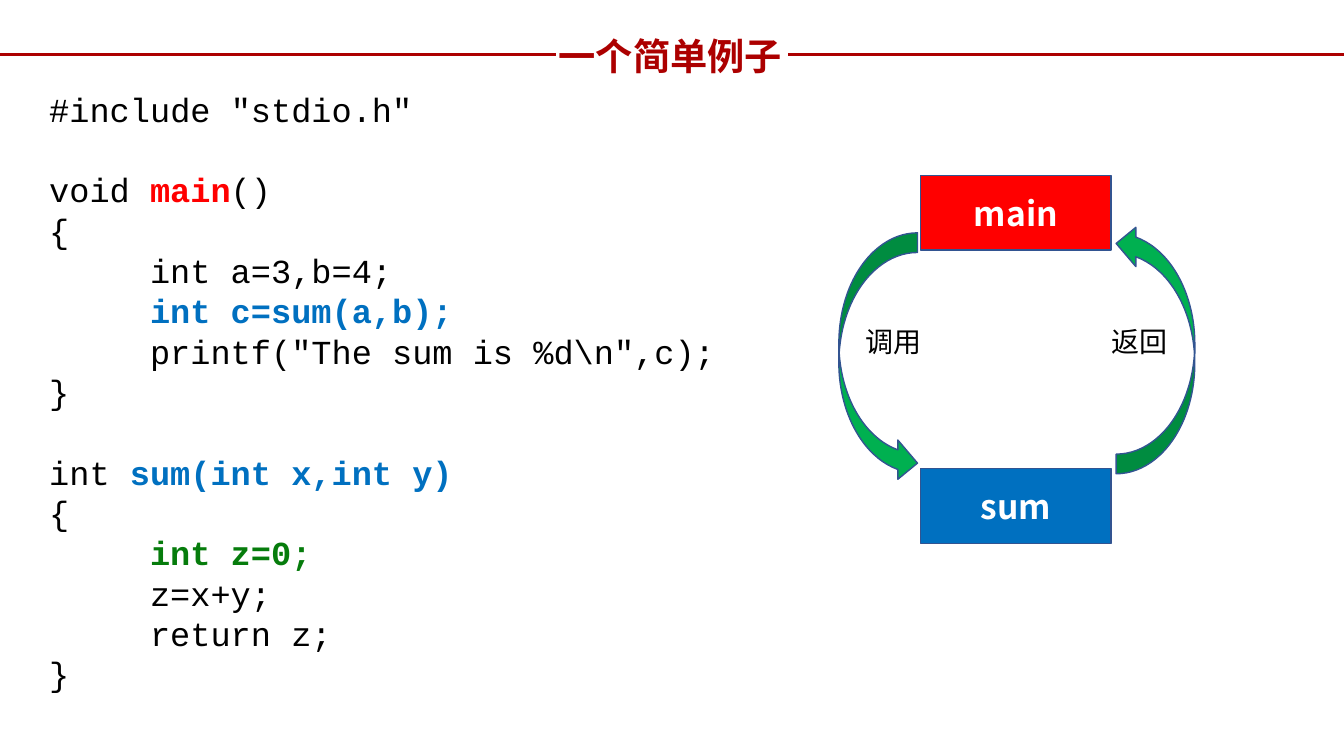
from dataclasses import dataclass

from lxml import etree
from pptx import Presentation
from pptx import util as u
from pptx.dml.color import RGBColor
from pptx.enum import shapes, text
from pptx.oxml import ns

COLOURS = {
    "title": "AC0000",
    "black": "000000",
    "white": "FFFFFF",
    "red": "FF0000",
    "blue": "0070C0",
    "green": "067C0C",
    "arrow": "00B050",
    "outline": "325491",
}
CJK = "Noto Sans CJK SC"
MONO = "Courier New"
LINE_PITCH = 28.8
TAB_WIDTH = u.Inches(1)


@dataclass(frozen=True)
class Span:
    words: str
    colour: str = "black"
    bold: bool = False


@dataclass(frozen=True)
class CodeLine:
    spans: tuple[Span, ...]
    gap_lines: int = 0


@dataclass(frozen=True)
class Label:
    words: str
    left: float
    top: float
    width: float
    height: float
    size: float = 20
    colour: str = "black"
    bold: bool = False
    align: text.PP_ALIGN = text.PP_ALIGN.LEFT


@dataclass(frozen=True)
class FunctionBox:
    name: str
    top: float
    fill: str


@dataclass(frozen=True)
class CallArrow:
    left: float
    top: float
    rotation: float


RULE_STARTS = (0, 7.82)
RULE_LENGTH = 5.51
RULE_TOP = 0.54

LABELS = (
    Label("一个简单例子", 5.34, 0.28, 2.62, 0.55, 26.6, "title", True, text.PP_ALIGN.CENTER),
    Label("调用", 8.49, 3.17, 0.78, 0.44),
    Label("返回", 10.93, 3.17, 0.78, 0.44),
)
FUNCTION_BOXES = (FunctionBox("main", 1.74, "red"), FunctionBox("sum", 4.65, "blue"))
CALL_ARROWS = (CallArrow(8.32, 2.31, 0), CallArrow(11.07, 2.22, 180))

CODE = (
    CodeLine((Span('#include "stdio.h"'),)),
    CodeLine((Span("void "), Span("main", "red", True), Span("()")), 1),
    CodeLine((Span("{"),)),
    CodeLine((Span("\tint a=3,b=4;"),)),
    CodeLine((Span("\t"), Span("int c=sum(a,b);", "blue", True))),
    CodeLine((Span('\tprintf("The sum is %d\\n",c);'),)),
    CodeLine((Span("}"),)),
    CodeLine((Span("int "), Span("sum(int x,int y)", "blue", True)), 1),
    CodeLine((Span("{"),)),
    CodeLine((Span("\t"), Span("int z=0;", "green", True))),
    CodeLine((Span("\tz=x+y;"),)),
    CodeLine((Span("\treturn z;"),)),
    CodeLine((Span("}"),)),
)


def rgb(name: str) -> RGBColor:
    return RGBColor.from_string(COLOURS[name])


def style_paragraph(paragraph, face: str, size: float, colour: str, bold: bool) -> None:
    font = paragraph.font
    font.name, font.size, font.bold = face, u.Pt(size), bold
    font.color.rgb = rgb(colour)
    if face == CJK:
        properties = paragraph._p.get_or_add_pPr().find(ns.qn("a:defRPr"))
        for holder in [properties] + [run.font._element for run in paragraph.runs]:
            east_asian = etree.SubElement(holder, ns.qn("a:ea"))
            east_asian.set("typeface", face)


def draw_rule(page, left: float) -> None:
    rule = page.shapes.add_connector(
        shapes.MSO_CONNECTOR.STRAIGHT,
        u.Inches(left), u.Inches(RULE_TOP), u.Inches(left + RULE_LENGTH), u.Inches(RULE_TOP),
    )
    rule.line.color.rgb = rgb("title")
    rule.line.width = u.Pt(2)
    etree.SubElement(rule._element.spPr, ns.qn("a:effectLst"))


def draw_label(page, label: Label) -> None:
    box = page.shapes.add_textbox(
        u.Inches(label.left), u.Inches(label.top), u.Inches(label.width), u.Inches(label.height)
    )
    box.text_frame.word_wrap = True
    paragraph = box.text_frame.paragraphs[0]
    paragraph.text = label.words
    paragraph.alignment = label.align
    style_paragraph(paragraph, CJK, label.size, label.colour, label.bold)


def set_tab_stop(paragraph) -> None:
    properties = paragraph._p.get_or_add_pPr()
    properties.set("defTabSz", str(TAB_WIDTH))
    stops = etree.Element(ns.qn("a:tabLst"))
    etree.SubElement(stops, ns.qn("a:tab"), pos=str(TAB_WIDTH), algn="l")
    properties.find(ns.qn("a:defRPr")).addprevious(stops)


def draw_code(page, lines: tuple[CodeLine, ...]) -> None:
    box = page.shapes.add_textbox(u.Inches(0.39), u.Inches(0.83), u.Inches(6.96), u.Inches(6.97))
    frame = box.text_frame
    frame.word_wrap = True
    for index, line in enumerate(lines):
        paragraph = frame.add_paragraph() if index else frame.paragraphs[0]
        paragraph.line_spacing = u.Pt(LINE_PITCH)
        paragraph.space_before = u.Pt(LINE_PITCH * line.gap_lines)
        style_paragraph(paragraph, MONO, 24, "black", False)
        set_tab_stop(paragraph)
        for span in line.spans:
            run = paragraph.add_run()
            run.text = span.words
            run.font.bold = span.bold
            run.font.color.rgb = rgb(span.colour)


def draw_shape(page, kind, left: float, top: float, width: float, height: float, fill: str):
    shape = page.shapes.add_shape(
        kind, u.Inches(left), u.Inches(top), u.Inches(width), u.Inches(height)
    )
    shape.shadow.inherit = False
    shape.fill.solid()
    shape.fill.fore_color.rgb = rgb(fill)
    shape.line.color.rgb = rgb("outline")
    shape.line.width = u.Pt(1)
    return shape


def draw_function_box(page, item: FunctionBox) -> None:
    box = draw_shape(page, shapes.MSO_SHAPE.RECTANGLE, 9.13, item.top, 1.89, 0.74, item.fill)
    box.text_frame.vertical_anchor = text.MSO_ANCHOR.MIDDLE
    paragraph = box.text_frame.paragraphs[0]
    paragraph.text = item.name
    paragraph.alignment = text.PP_ALIGN.CENTER
    style_paragraph(paragraph, CJK, 24, "white", True)


def draw_call_arrow(page, item: CallArrow) -> None:
    kind = shapes.MSO_SHAPE.CURVED_RIGHT_ARROW
    arrow = draw_shape(page, kind, item.left, item.top, 0.78, 2.48, "arrow")
    arrow.rotation = item.rotation


def main() -> None:
    deck = Presentation()
    deck.slide_width, deck.slide_height = u.Inches(13.33), u.Inches(7.5)
    page = deck.slides.add_slide(deck.slide_layouts[6])
    for left in RULE_STARTS:
        draw_rule(page, left)
    draw_code(page, CODE)
    for item in FUNCTION_BOXES:
        draw_function_box(page, item)
    for item in CALL_ARROWS:
        draw_call_arrow(page, item)
    for label in LABELS:
        draw_label(page, label)
    deck.save("out.pptx")


if __name__ == "__main__":
    main()
